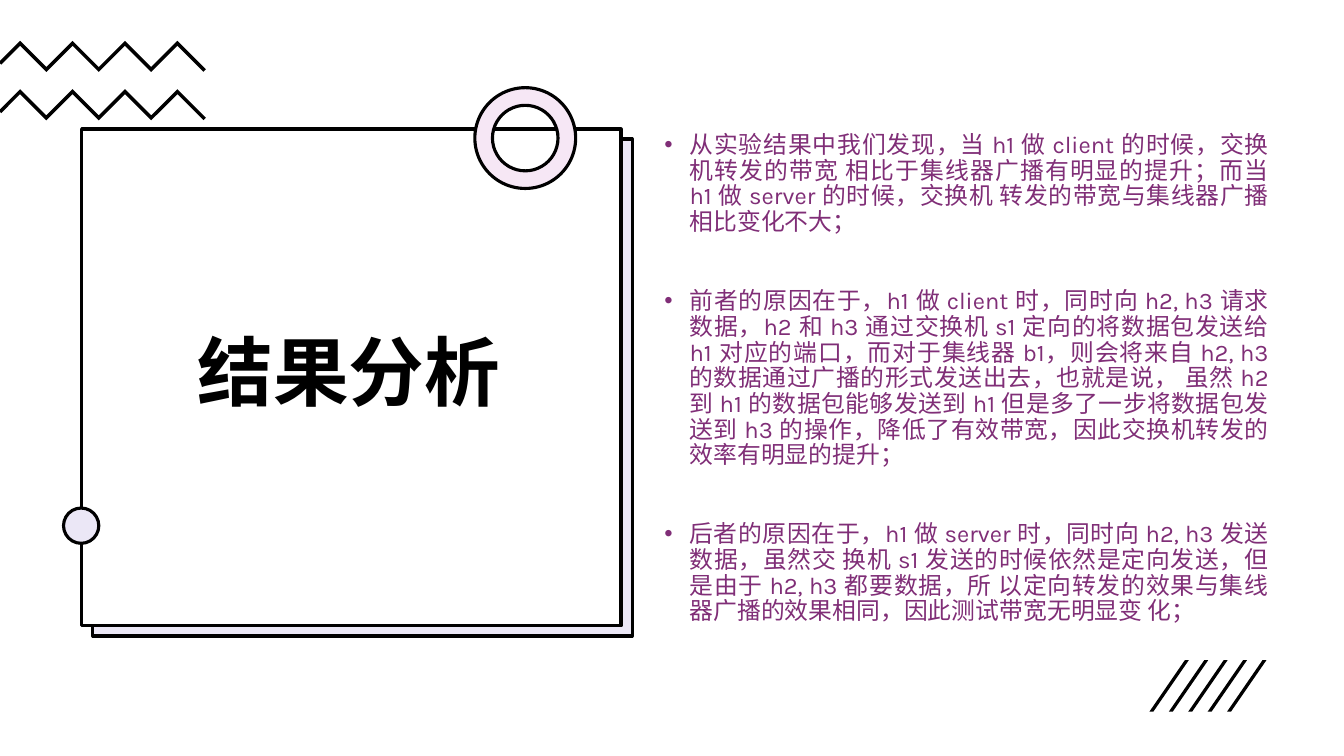
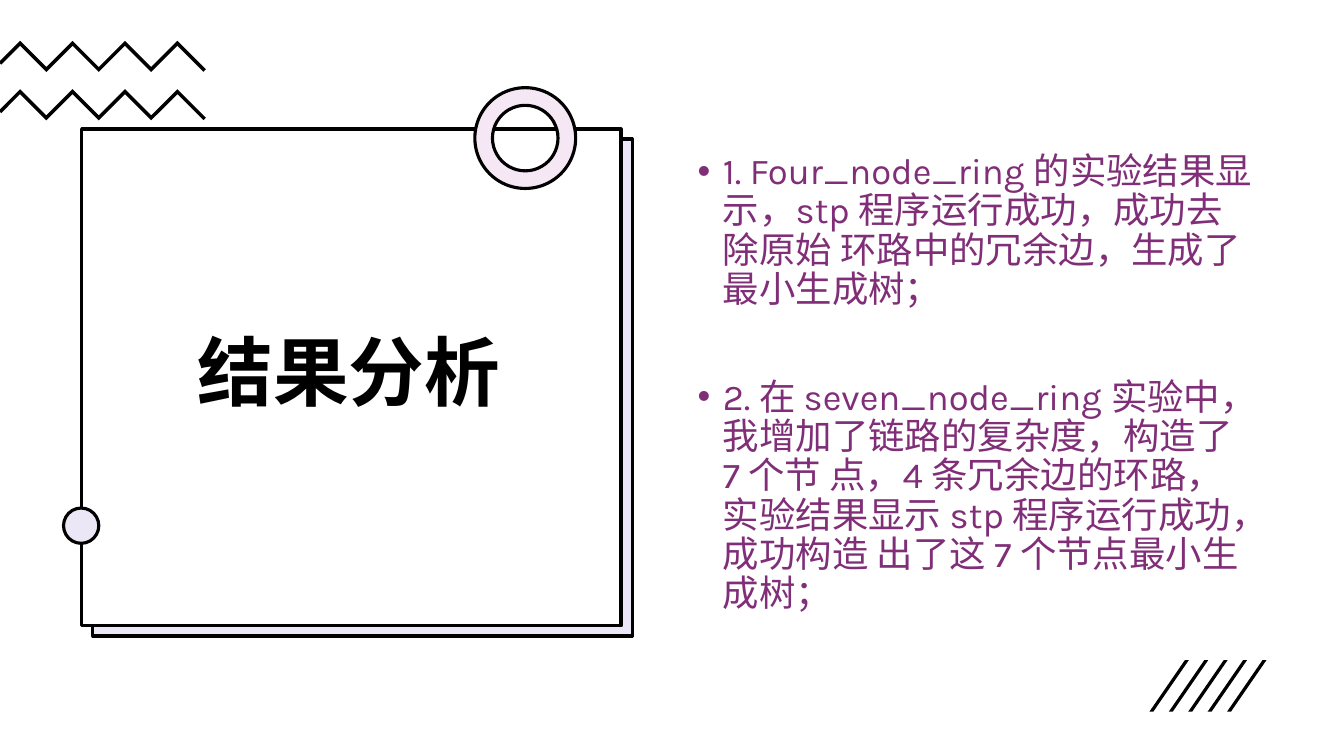
from lxml import etree
from pptx import Presentation
from pptx.dml.color import RGBColor
from pptx.enum.lang import MSO_LANGUAGE_ID
from pptx.enum.shapes import MSO_SHAPE
from pptx.enum.text import MSO_ANCHOR, MSO_AUTO_SIZE, PP_ALIGN
from pptx.oxml.ns import qn
from pptx.util import Inches, Pt

RECT, OVAL = MSO_SHAPE.RECTANGLE, MSO_SHAPE.OVAL
DONUT, SLASH = MSO_SHAPE.DONUT, MSO_SHAPE.PARALLELOGRAM
LEFT, CENTER, JUSTIFY = PP_ALIGN.LEFT, PP_ALIGN.CENTER, PP_ALIGN.JUSTIFY
MIDDLE, TOP = MSO_ANCHOR.MIDDLE, MSO_ANCHOR.TOP
NO_FIT = MSO_AUTO_SIZE.NONE
CHINESE = MSO_LANGUAGE_ID.SIMPLIFIED_CHINESE

BLACK = RGBColor(0x00, 0x00, 0x00)
WHITE = RGBColor(0xFF, 0xFF, 0xFF)
LAVENDER = RGBColor(0xEB, 0xE7, 0xF6)
PINK = RGBColor(0xF6, 0xE7, 0xF5)
PURPLE = RGBColor(0x80, 0x2E, 0x77)
FONT = "Karla"
LINE_SPACING = 0.9
OUTLINE = 2.25

FORWARDING = [
    "从实验结果中我们发现，当 h1 做 client 的时候，交换机转发的带宽 相比于集线器广播有明显的提升；"
    "而当 h1 做 server 的时候，交换机 转发的带宽与集线器广播相比变化不大；",
    "前者的原因在于，h1 做 client 时，同时向 h2, h3 请求数据，h2 和 h3 通过交换机 s1 "
    "定向的将数据包发送给 h1 对应的端口，而对于集线器 b1，则会将来自 h2, h3 "
    "的数据通过广播的形式发送出去，也就是说， 虽然 h2 到 h1 的数据包能够发送到 h1 "
    "但是多了一步将数据包发送到 h3 的操作，降低了有效带宽，因此交换机转发的效率有明显的提升；",
    "后者的原因在于，h1 做 server 时，同时向 h2, h3 发送数据，虽然交 换机 s1 "
    "发送的时候依然是定向发送，但是由于 h2, h3 都要数据，所 以定向转发的效果与集线器广播的效果相同，"
    "因此测试带宽无明显变 化；",
]
SPANNING_TREE = [
    "1. Four_node_ring 的实验结果显示，stp 程序运行成功，成功去除原始 环路中的冗余边，生成了最小生成树；",
    "2. 在 seven_node_ring 实验中，我增加了链路的复杂度，构造了 7 个节 点，4 条冗余边的环路，"
    "实验结果显示 stp 程序运行成功，成功构造 出了这 7 个节点最小生成树；",
]


def add_preset(slide, kind, x, y, w, h, fill, outlined=True):
    sp = slide.shapes.add_shape(kind, Inches(x), Inches(y), Inches(w), Inches(h))
    sp.shadow.inherit = False
    sp.fill.solid()
    sp.fill.fore_color.rgb = fill
    if outlined:
        sp.line.color.rgb = BLACK
        sp.line.width = Pt(OUTLINE)
    else:
        sp.line.fill.background()
    return sp


def add_run(p, text, size, color, bold=False):
    r = p.add_run()
    r.text = text
    r.font.name = FONT
    r.font.size = Pt(size)
    r.font.bold = bold
    r.font.color.rgb = color
    r.font.language_id = CHINESE


def add_title(slide, text, x, y, w, h):
    title = slide.shapes.title
    title.left, title.top = Inches(x), Inches(y)
    title.width, title.height = Inches(w), Inches(h)
    tf = title.text_frame
    tf.auto_size = NO_FIT
    tf.vertical_anchor = MIDDLE
    p = tf.paragraphs[0]
    p.alignment = CENTER
    p.line_spacing = LINE_SPACING
    add_run(p, text, 54, BLACK, bold=True)
    title._element.getparent().append(title._element)


def add_title_card(slide, text, x, y, w, h):
    add_preset(slide, RECT, x + 0.11, y + 0.1, w, h, LAVENDER)
    add_preset(slide, RECT, x, y, w, h, WHITE)
    ring = add_preset(slide, DONUT, x + 3.9, y - 0.41, 1, 1, PINK)
    ring.adjustments[0] = 0.175
    add_preset(slide, OVAL, x - 0.18, y + 3.76, 0.35, 0.35, LAVENDER)
    add_title(slide, text, x + 0.4, y + 0.1, 4.5, 4.7)


def add_zigzag(slide, y):
    peak, valley = y + 0.02, y + 0.28
    points = [(0.2 + 0.26 * i, valley if i % 2 else peak) for i in range(7)]
    points.append((2.03, y + 0.29))
    builder = slide.shapes.build_freeform(0, Inches(y + 0.22))
    builder.add_line_segments([(Inches(px), Inches(py)) for px, py in points], close=False)
    sp = builder.convert_to_shape()
    sp.shadow.inherit = False
    sp.fill.background()
    sp.line.color.rgb = BLACK
    sp.line.width = Pt(2.5)
    etree.SubElement(sp.line._get_or_add_ln(), qn("a:miter"), lim="800000")


def add_slashes(slide, x, y, w, h):
    slash_w = 0.39
    step = (w - slash_w) / 4
    for i in range(5):
        sp = add_preset(slide, SLASH, x + i * step, y, slash_w, h, BLACK, outlined=False)
        sp.adjustments[0] = 0.9


def set_bullet(p):
    pPr = p._p.get_or_add_pPr()
    pPr.set("marL", str(Inches(0.25)))
    pPr.set("indent", str(-Inches(0.25)))
    etree.SubElement(pPr, qn("a:buFont"), typeface="Arial")
    etree.SubElement(pPr, qn("a:buChar"), char="•")


def add_findings(slide, findings, box, size, gap, align):
    tf = slide.shapes.add_textbox(*[Inches(v) for v in box]).text_frame
    tf.word_wrap = True
    tf.auto_size = NO_FIT
    tf.vertical_anchor = TOP
    for i, text in enumerate(findings):
        p = tf.add_paragraph() if i else tf.paragraphs[0]
        set_bullet(p)
        p.alignment = align
        p.line_spacing = LINE_SPACING
        if i:
            p.space_before = Pt(gap)
        add_run(p, text, size, PURPLE)


def add_analysis_slide(prs, findings, box, size, gap, align):
    slide = prs.slides.add_slide(prs.slide_layouts[5])
    add_title_card(slide, "结果分析", 0.81, 1.28, 5.35, 4.93)
    for y in (0.41, 0.89):
        add_zigzag(slide, y)
    add_findings(slide, findings, box, size, gap, align)
    add_slashes(slide, 11.4, 6.55, 1.16, 0.51)


def main():
    prs = Presentation()
    prs.slide_width, prs.slide_height = Inches(13.33), Inches(7.5)
    add_analysis_slide(prs, FORWARDING, (6.49, 1.27, 6.19, 5.17), 17, 38, JUSTIFY)
    add_analysis_slide(prs, SPANNING_TREE, (6.82, 1.47, 5.71, 4.76), 26, 49, LEFT)
    prs.save("out.pptx")


if __name__ == "__main__":
    main()
